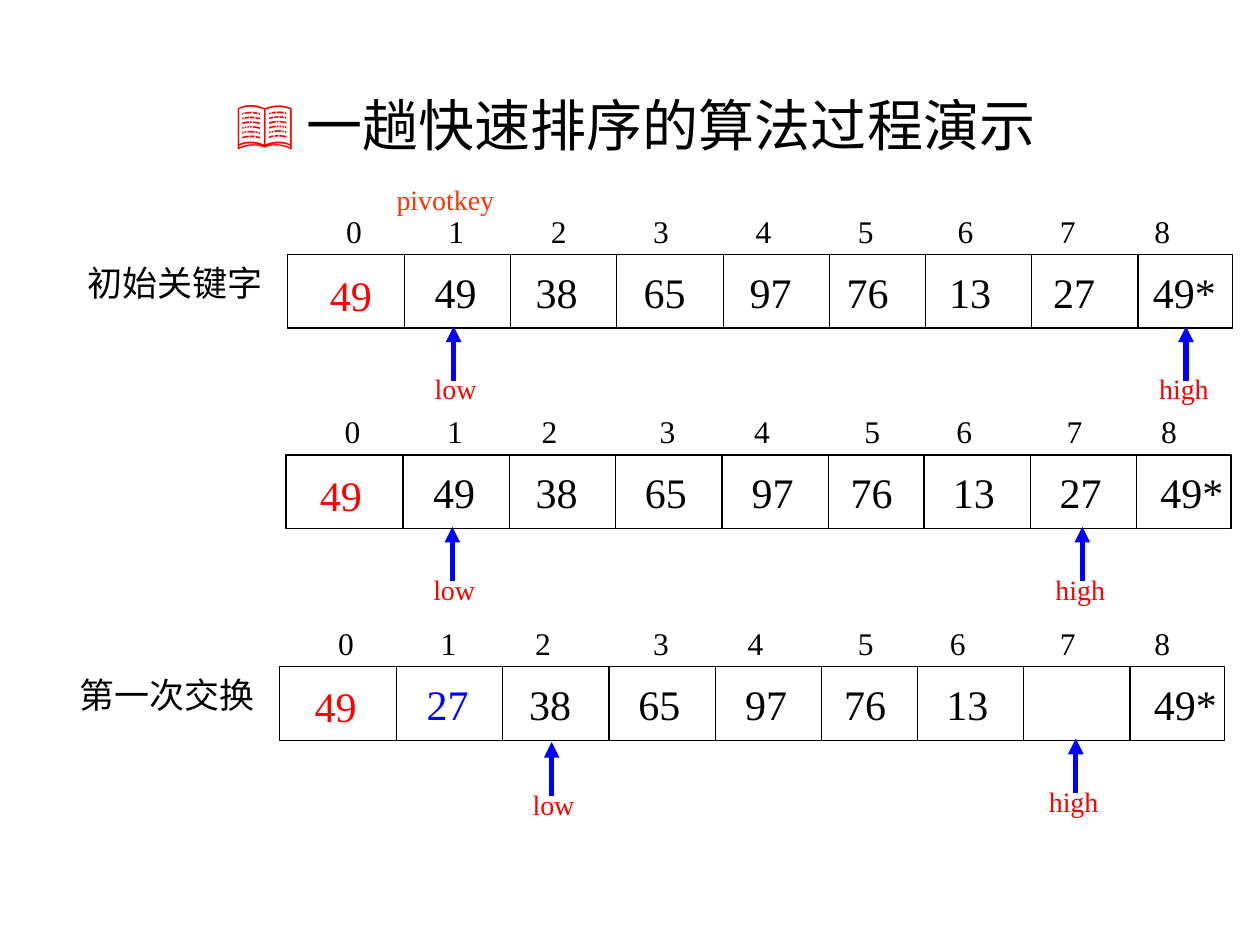
from dataclasses import dataclass
from itertools import accumulate
from typing import Optional

from lxml.etree import SubElement
from pptx import Presentation
from pptx.dml.color import RGBColor as Rgb
from pptx.enum.shapes import MSO_CONNECTOR as Wire, MSO_SHAPE as Form
from pptx.enum.text import MSO_ANCHOR as Anchor, MSO_AUTO_SIZE as Fit, PP_ALIGN as Align
from pptx.oxml.ns import qn
from pptx.util import Pt


@dataclass(frozen=True)
class Theme:
    ink: str = "000000"
    paper: str = "FFFFFF"
    red: str = "FF0000"
    blue: str = "0000FF"
    pivot: str = "FF3300"
    serif: str = "Times New Roman"
    sans: str = "Arial"
    title: int = 32
    key: int = 24
    label: int = 20
    index: int = 18
    mark: int = 16
    thin: float = 0.75
    thick: float = 3


@dataclass(frozen=True)
class Grid:
    gaps: tuple[float, ...]
    keys: tuple[float, ...]


@dataclass(frozen=True)
class Mark:
    name: str
    x: float
    drop: float = 0


@dataclass(frozen=True)
class Row:
    left: float
    top: float
    grid: Grid
    keys: tuple[str, ...]
    spare: tuple[float, float]
    marks: tuple[Mark, ...]
    label: Optional[str] = None
    fresh: Optional[int] = None
    pivot: bool = False


THEME = Theme()
HIGH = 42
CELLS = (66.75, 60.75, 60.75, 60.75, 60.75, 54.75, 60.75, 60.75, 54)
EVEN = Grid((58.5, 58.5, 58.5, 58.5, 58.5, 57, 58.5, 54),
            (77, 134.75, 196.5, 257, 312.5, 371, 430.5, 487.5))
LOOSE = Grid((58.5, 54, 67.5, 54, 63, 52.5, 63, 54),
             (77, 135.5, 198, 259, 315.5, 374, 435, 492.5))
NUDGE = {"low": (18, 40), "high": (22.5, 46)}
START = ("49", "38", "65", "97", "76", "13", "27", "49*")
ROWS = (
    Row(164.25, 145.5, EVEN, START, (17.25, 5),
        (Mark("low", 95), Mark("high", 513.5)), "初始关键字", pivot=True),
    Row(163.5, 260, LOOSE, START, (12.25, 4.5),
        (Mark("low", 95), Mark("high", 455))),
    Row(159.75, 381, LOOSE, ("27", "38", "65", "97", "76", "13", "", "49*"),
        (13, 4.5), (Mark("low", 155.5, 2), Mark("high", 455)),
        "第一次交换", fresh=0),
)


def put_run(para, text: str, size: float, tint: str, face: str) -> None:
    run = para.add_run()
    run.text = text
    run.font.size = Pt(size)
    run.font.name = face
    run.font.color.rgb = Rgb.from_string(tint)


def put_text(group, text: str, left: float, top: float, wide: float, high: float,
             size: float, tint: str = THEME.ink, wrap: bool = True):
    box = group.shapes.add_textbox(Pt(left), Pt(top), Pt(wide), Pt(high))
    box.text_frame.word_wrap = wrap
    put_run(box.text_frame.paragraphs[0], text, size, tint, THEME.serif)
    return box


def put_line(group, x: float, start: float, end: float, tint: str,
             wide: float, arrow: bool = False) -> None:
    line = group.shapes.add_connector(Wire.STRAIGHT, Pt(x), Pt(start), Pt(x), Pt(end))
    line.line.color.rgb = Rgb.from_string(tint)
    line.line.width = Pt(wide)
    props = line.element.spPr
    if arrow:
        SubElement(props.find(qn("a:ln")), qn("a:tailEnd"), type="triangle")
    SubElement(props, qn("a:effectLst"))


def put_frame(group, row: Row) -> None:
    frame = group.shapes.add_shape(Form.RECTANGLE, Pt(row.left), Pt(row.top),
                                   Pt(sum(CELLS)), Pt(HIGH))
    frame.shadow.inherit = False
    frame.fill.solid()
    frame.fill.fore_color.rgb = Rgb.from_string(THEME.paper)
    frame.line.color.rgb = Rgb.from_string(THEME.ink)
    frame.line.width = Pt(THEME.thin)
    for edge in accumulate(CELLS[:-1]):
        put_line(group, row.left + edge, row.top, row.top + HIGH, THEME.ink, THEME.thin)


def put_index(group, row: Row) -> None:
    text = "\t".join(str(num) for num in range(len(CELLS)))
    box = put_text(group, text, row.left + 17.25, row.top - 28, 506, 29, THEME.index)
    box.text_frame.margin_left = Pt(16.2)
    props = box.text_frame.paragraphs[0]._p.get_or_add_pPr()
    tabs = SubElement(props, qn("a:tabLst"))
    for stop in accumulate(row.grid.gaps):
        SubElement(tabs, qn("a:tab"), pos=str(Pt(stop)), algn="l")


def put_mark(group, row: Row, mark: Mark) -> None:
    x = row.left + mark.x
    tip = row.top + 41 + mark.drop
    put_line(group, x, tip + 31, tip, THEME.blue, THEME.thick, True)
    back, wide = NUDGE[mark.name]
    put_text(group, mark.name, x - back, tip + 22.5, wide, 26.5,
             THEME.mark, THEME.red, False)


def put_row(slide, row: Row) -> None:
    group = slide.shapes.add_group_shape()
    put_frame(group, row)
    put_index(group, row)
    for num, (key, x) in enumerate(zip(row.keys, row.grid.keys)):
        if key:
            tint = THEME.blue if num == row.fresh else THEME.ink
            wide = 51.5 if key.endswith("*") else 41
            put_text(group, key, row.left + x, row.top + 3, wide, 36, THEME.key, tint)
    x, y = row.spare
    put_text(group, "49", row.left + x, row.top + y, 41, 36, THEME.key, THEME.red)
    for mark in row.marks:
        put_mark(group, row, mark)
    if row.label:
        put_text(group, row.label, row.left - 121.5, row.top + 0.5, 116, 31, THEME.label)
    if row.pivot:
        put_text(group, "pivotkey", row.left + 55.25, row.top - 44.5, 73.5, 26.5,
                 THEME.mark, THEME.pivot, False)


def put_title(slide) -> None:
    title = slide.shapes.title
    title.left, title.top, title.width, title.height = Pt(127.5), Pt(48), Pt(556.5), Pt(46)
    frame = title.text_frame
    frame.auto_size = Fit.NONE
    frame.vertical_anchor = Anchor.TOP
    frame.word_wrap = True
    para = frame.paragraphs[0]
    para.alignment = Align.LEFT
    put_run(para, " 一趟快速排序的算法过程演示", THEME.title, THEME.ink, THEME.sans)
    props = para._p.get_or_add_pPr()
    props.set("marL", "0")
    props.set("indent", "0")
    SubElement(SubElement(props, qn("a:buClr")), qn("a:srgbClr"), val=THEME.red)
    SubElement(props, qn("a:buFont"), typeface=THEME.sans)
    SubElement(props, qn("a:buChar"), char="📖")


def main() -> None:
    deck = Presentation()
    deck.slide_width, deck.slide_height = Pt(720), Pt(540)
    slide = deck.slides.add_slide(deck.slide_layouts[5])
    put_title(slide)
    for row in ROWS:
        put_row(slide, row)
    deck.save("out.pptx")


if __name__ == "__main__":
    main()
